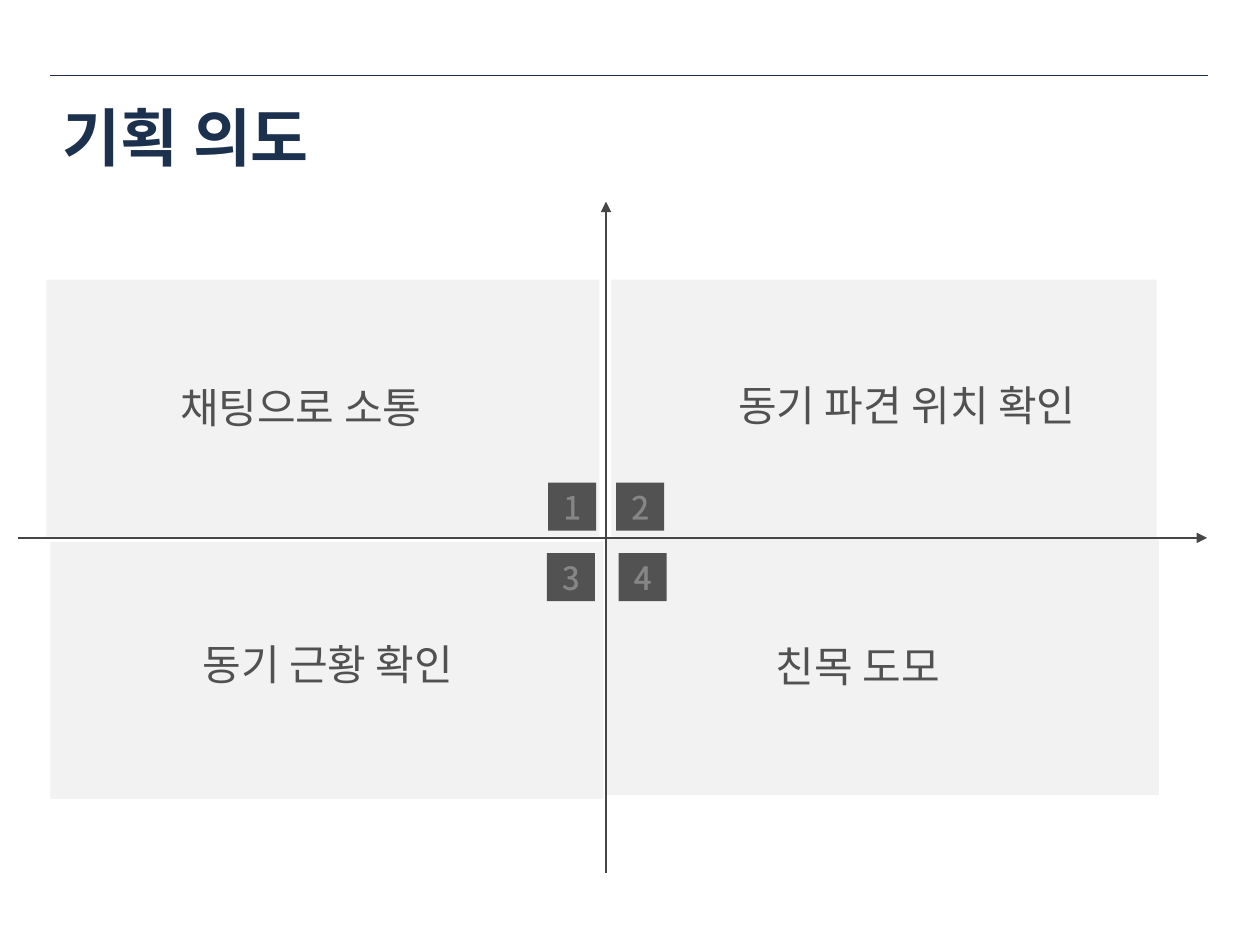
from dataclasses import dataclass

from lxml.etree import SubElement
from pptx import Presentation
from pptx.dml.color import RGBColor
from pptx.enum.shapes import MSO_CONNECTOR as Connector, MSO_SHAPE as Shape
from pptx.enum.text import MSO_ANCHOR as Anchor, MSO_AUTO_SIZE as AutoSize, PP_ALIGN as Align
from pptx.oxml.ns import qn
from pptx.util import Pt


@dataclass(frozen=True)
class Theme:
    font: str = "Noto Sans CJK KR"
    navy: str = "1C314E"
    dark: str = "464646"
    body: str = "404040"
    panel: str = "F2F2F2"
    white: str = "FFFFFF"
    title_size: int = 36
    label_size: int = 24
    badge_size: int = 18


def add_alpha(fill_parent, percent):
    color = fill_parent.find(qn("a:solidFill")).find(qn("a:srgbClr"))
    SubElement(color, qn("a:alpha")).set("val", str(percent * 1000))


def write_text(frame, text, *, font, size, color, bold=False, align=Align.LEFT,
               opacity=100, outlined=False):
    frame.word_wrap = True
    frame.vertical_anchor = Anchor.MIDDLE
    paragraph = frame.paragraphs[0]
    paragraph.alignment = align
    run = paragraph.add_run()
    run.text = text
    run.font.name = font
    run.font.size = Pt(size)
    run.font.bold = bold
    run.font.color.rgb = RGBColor.from_string(color)
    properties = run.font._element
    SubElement(properties, qn("a:ea")).set("typeface", font)
    if opacity < 100:
        add_alpha(properties, opacity)
    if outlined:
        outline = SubElement(properties, qn("a:ln"))
        outline.set("w", str(Pt(0.75)))
        fill = SubElement(outline, qn("a:solidFill"))
        SubElement(fill, qn("a:srgbClr")).set("val", color)
        add_alpha(outline, 30)
        properties.insert(0, outline)


class SlideBuilder:
    def __init__(self, slide, theme):
        self.slide = slide
        self.theme = theme

    def rectangle(self, left, top, width, height, color, opacity=100):
        shape = self.slide.shapes.add_shape(
            Shape.RECTANGLE, Pt(left), Pt(top), Pt(width), Pt(height))
        shape.shadow.inherit = False
        shape.fill.solid()
        shape.fill.fore_color.rgb = RGBColor.from_string(color)
        shape.line.fill.background()
        if opacity < 100:
            add_alpha(shape._element.spPr, opacity)
        return shape

    def line(self, start, end, color, width, arrow=False):
        connector = self.slide.shapes.add_connector(
            Connector.STRAIGHT, *map(Pt, start), *map(Pt, end))
        connector.line.color.rgb = RGBColor.from_string(color)
        connector.line.width = Pt(width)
        if arrow:
            SubElement(connector.line._get_or_add_ln(), qn("a:tailEnd")).set("type", "triangle")
        SubElement(connector._element.spPr, qn("a:effectLst"))

    def text_box(self, left, top, width, height, text, **text_format):
        box = self.slide.shapes.add_textbox(Pt(left), Pt(top), Pt(width), Pt(height))
        write_text(box.text_frame, text, font=self.theme.font, **text_format)
        return box

    def title(self, text):
        self.text_box(28.8, 44.6, 661, 67, text, size=self.theme.title_size,
                      color=self.theme.navy, bold=True)

    def panel(self, left, top, width):
        self.rectangle(left, top, width, 146.9, self.theme.panel)

    def badge(self, left, top, number):
        shape = self.rectangle(left, top, 27.4, 27.4, self.theme.dark, opacity=93)
        write_text(shape.text_frame, str(number), font=self.theme.font,
                   size=self.theme.badge_size, color=self.theme.white,
                   align=Align.CENTER, outlined=True)

    def label(self, left, top, width, text):
        box = self.text_box(left, top, width, 36, text, size=self.theme.label_size,
                            color=self.theme.body, opacity=90, outlined=True)
        box.text_frame.auto_size = AutoSize.SHAPE_TO_FIT_TEXT


# number: panel (left, top, width), badge (left, top), label (left, top, width, text)
QUADRANTS = {
    4: ((346.3, 307.4, 316), (353.5, 316.1), (436.3, 362.2, 136, "친목 도모")),
    3: ((28.8, 309.6, 316), (312.5, 316.1), (108.7, 361.4, 158, "동기 근황 확인")),
    2: ((349.2, 159.8, 311.8), (352.1, 275.8), (414.7, 213.1, 212, "동기 파견 위치 확인")),
    1: ((26.6, 159.8, 316), (313.2, 275.8), (95.8, 214.6, 198, "채팅으로 소통")),
}


def main():
    presentation = Presentation()
    presentation.slide_width, presentation.slide_height = Pt(720), Pt(540)
    theme = Theme()
    builder = SlideBuilder(
        presentation.slides.add_slide(presentation.slide_layouts[6]), theme)

    builder.line((28.8, 43.2), (690.5, 43.2), theme.navy, 0.25)
    builder.title("기획 의도")

    for number, (panel, badge, label) in QUADRANTS.items():
        builder.panel(*panel)
        if number == 4:  # the axes lie above this panel and below the others
            builder.line((10.1, 307.4), (689.8, 307.4), theme.dark, 0.75, arrow=True)
            builder.line((346.3, 499), (346.3, 115.2), theme.dark, 0.75, arrow=True)
        builder.badge(*badge, number)
        builder.label(*label)

    presentation.save("out.pptx")


if __name__ == "__main__":
    main()
